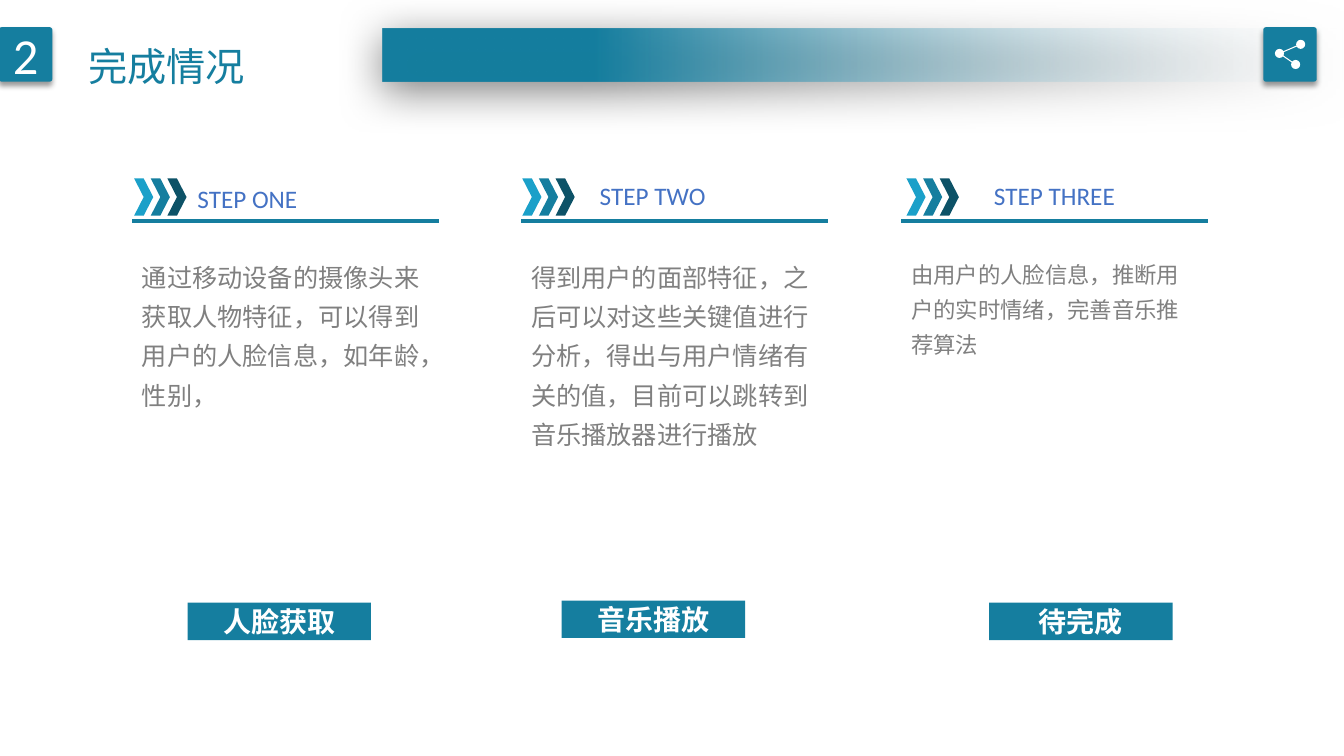
from lxml import etree
from pptx import Presentation
from pptx.dml.color import RGBColor
from pptx.enum.shapes import MSO_CONNECTOR, MSO_SHAPE
from pptx.enum.text import MSO_ANCHOR, PP_ALIGN
from pptx.oxml.ns import qn
from pptx.util import Inches, Pt

RECT, ROUNDED = MSO_SHAPE.RECTANGLE, MSO_SHAPE.ROUNDED_RECTANGLE
CHEVRON, OVAL = MSO_SHAPE.CHEVRON, MSO_SHAPE.OVAL
STRAIGHT = MSO_CONNECTOR.STRAIGHT
CENTER, LEFT = PP_ALIGN.CENTER, PP_ALIGN.LEFT
MIDDLE, TOP = MSO_ANCHOR.MIDDLE, MSO_ANCHOR.TOP

LATIN, CJK = "Calibri", "Noto Sans CJK SC"
TEAL, LIGHT_TEAL, DARK_TEAL = "157E9F", "1BA0C9", "0D5267"
WHITE, GRAY, BLUE = "FFFFFF", "808080", "4472C4"

STEPS = [
    {"left": 1.31, "heading": "STEP ONE", "heading_at": (1.86, 1.77), "arrows": 1.33,
     "body": "通过移动设备的摄像头来获取人物特征，可以得到用户的人脸信息，如年龄，性别，",
     "size": 18, "status": "人脸获取", "status_at": (1.86, 5.98)},
    {"left": 5.17, "heading": "STEP TWO", "heading_at": (5.85, 1.74), "arrows": 5.18,
     "body": "得到用户的面部特征，之后可以对这些关键值进行分析，得出与用户情绪有关的值，"
             "目前可以跳转到音乐播放器进行播放",
     "size": 18, "status": "音乐播放", "status_at": (5.57, 5.96)},
    {"left": 8.94, "heading": "STEP THREE", "heading_at": (9.76, 1.74), "arrows": 8.99,
     "body": "由用户的人脸信息，推断用户的实时情绪，完善音乐推荐算法",
     "size": 16, "status": "待完成", "status_at": (9.81, 5.98)},
]


def color(value):
    """Turn a hex string into a colour."""
    return RGBColor.from_string(value)


def write(holder, text, size, ink, font=LATIN, bold=False, align=LEFT,
          anchor=TOP, spacing=1.0, wrap=True):
    """Put one formatted paragraph into a shape or text box."""
    frame = holder.text_frame
    frame.word_wrap = wrap
    frame.vertical_anchor = anchor
    paragraph = frame.paragraphs[0]
    paragraph.alignment = align
    paragraph.line_spacing = spacing
    run = paragraph.add_run()
    run.text = text
    for key, value in {"size": Pt(size), "name": font, "bold": bold}.items():
        setattr(run.font, key, value)
    run.font.color.rgb = color(ink)
    east_asian = etree.SubElement(run.font._element, qn("a:ea"))
    east_asian.set("typeface", CJK)


def label(slide, box, text, size, ink, **options):
    """Add a text box."""
    holder = slide.shapes.add_textbox(*map(Inches, box))
    write(holder, text, size, ink, **options)


def block(slide, kind, box, fill):
    """Add a flat filled shape without outline or shadow."""
    shape = slide.shapes.add_shape(kind, *map(Inches, box))
    shape.fill.solid()
    shape.fill.fore_color.rgb = color(fill)
    shape.line.fill.background()
    shape.shadow.inherit = False
    return shape


def rule(slide, start, end, ink, width):
    """Add a straight line without shadow."""
    line = slide.shapes.add_connector(STRAIGHT, *map(Inches, start + end))
    line.line.color.rgb = color(ink)
    line.line.width = Pt(width)
    etree.SubElement(line._element.spPr, qn("a:effectLst"))


def set_alpha(color_element, percent):
    """Set the opacity of a colour element."""
    alpha = etree.SubElement(color_element, qn("a:alpha"))
    alpha.set("val", str(percent * 1000))


def drop_shadow(shape, opacity, blur, distance, angle):
    """Give a shape a black outer shadow."""
    effects = shape._element.spPr.find(qn("a:effectLst"))
    shadow = etree.SubElement(effects, qn("a:outerShdw"))
    settings = {"blurRad": Pt(blur), "dist": Pt(distance), "dir": angle * 60000,
                "algn": "t", "rotWithShape": 0}
    for key, value in settings.items():
        shadow.set(key, str(value))
    black = etree.SubElement(shadow, qn("a:srgbClr"))
    black.set("val", "000000")
    set_alpha(black, opacity)


def badge(slide, box):
    """Add a raised teal square with slightly rounded corners."""
    square = block(slide, ROUNDED, box, TEAL)
    square.adjustments[0] = 0.05
    drop_shadow(square, 40, 4, 3, 90)
    return square


def fading_band(slide, box):
    """Add the header band that fades out to the right."""
    band = block(slide, RECT, box, TEAL)
    band.fill.gradient()
    band.fill.gradient_angle = 180
    for stop, (position, ink) in zip(band.fill.gradient_stops, [(0, "F7FAFD"), (0.78, TEAL)]):
        stop.position = position
        stop.color.rgb = color(ink)
    set_alpha(next(band._element.iter(qn("a:srgbClr"))), 0)
    drop_shadow(band, 50, 31, 6, 97)


def share_icon(slide, box):
    """Add a badge with three linked dots."""
    left, top, _, _ = box
    badge(slide, box)
    hub, upper, lower = [(left + x, top + y) for x, y in [(0.16, 0.26), (0.37, 0.17), (0.32, 0.37)]]
    dot = 0.09
    for end in (upper, lower):
        rule(slide, hub, end, WHITE, 0.75)
    for x, y in (hub, upper, lower):
        block(slide, OVAL, (x - dot / 2, y - dot / 2, dot, dot), WHITE)


def header(slide, box):
    """Add the section number, title, band and icon."""
    left, top, width, height = box
    fading_band(slide, (3.8, top + 0.01, left + width - 3.8, height - 0.01))
    number = badge(slide, (left - 0.01, top, 0.53, height))
    write(number, "2", 36, WHITE, align=CENTER, anchor=MIDDLE)
    share_icon(slide, (left + width - 0.8, top, 0.53, height))
    label(slide, (left + 0.69, top - 0.13, 1.97, 0.7), " 完成情况", 28, TEAL,
          font=CJK, spacing=1.5, wrap=False)


def step_column(slide, box, step):
    """Add one step: arrows, heading, rule, description and status."""
    left, top, width, height = box
    rule(slide, (left, top + 0.42), (left + width, top + 0.42), TEAL, 3)
    for index, fill in enumerate([LIGHT_TEAL, TEAL, DARK_TEAL]):
        block(slide, CHEVRON, (step["arrows"] + index * 0.165, top, 0.19, 0.37), fill)
    label(slide, (*step["heading_at"], 2.1, 0.4), step["heading"], 18, BLUE)
    label(slide, (left, top + 0.69, width, height - 2.5), step["body"], step["size"], GRAY,
          font=CJK, spacing=1.3)
    status = block(slide, RECT, (*step["status_at"], 1.82, 0.37), TEAL)
    write(status, step["status"], 20, WHITE, bold=True, align=CENTER, anchor=MIDDLE)


def main():
    """Build and save the slide."""
    deck = Presentation()
    deck.slide_width, deck.slide_height = Inches(13.33), Inches(7.5)
    slide = deck.slides.add_slide(deck.slide_layouts[6])
    header(slide, (0, 0.27, 13.33, 0.54))
    for step in STEPS:
        step_column(slide, (step["left"], 1.77, 3.04, 4.58), step)
    deck.save("out.pptx")


if __name__ == "__main__":
    main()
